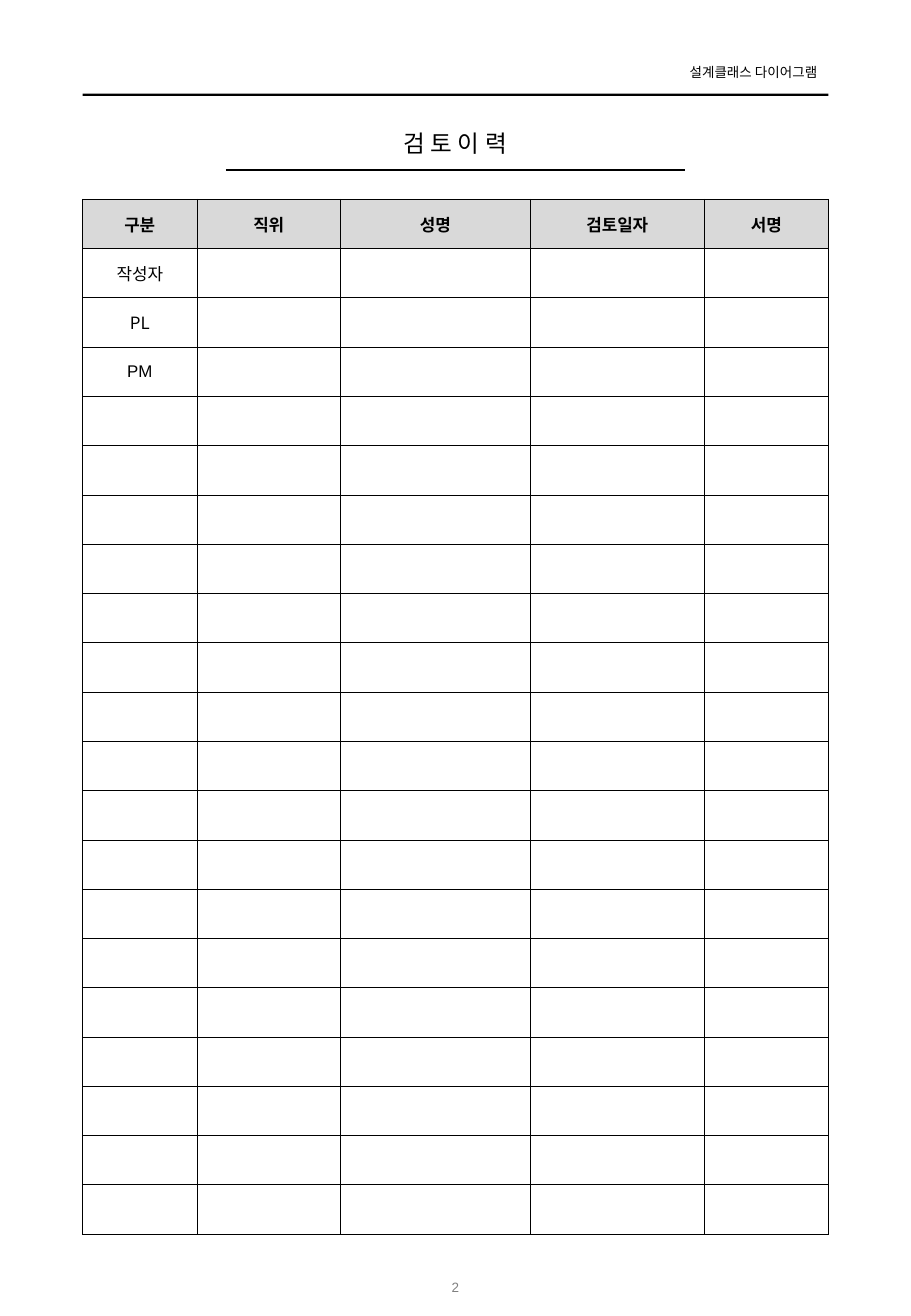
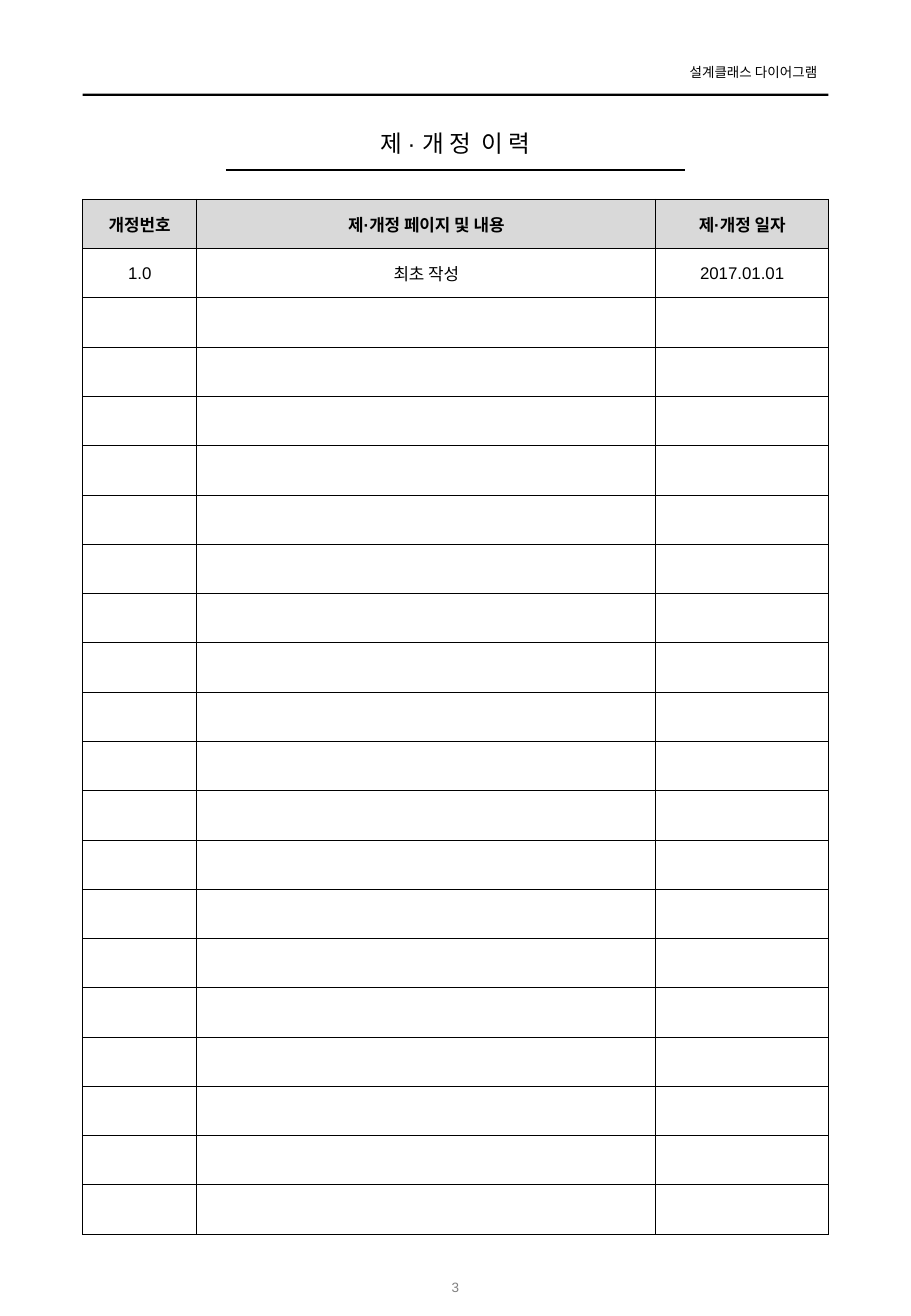
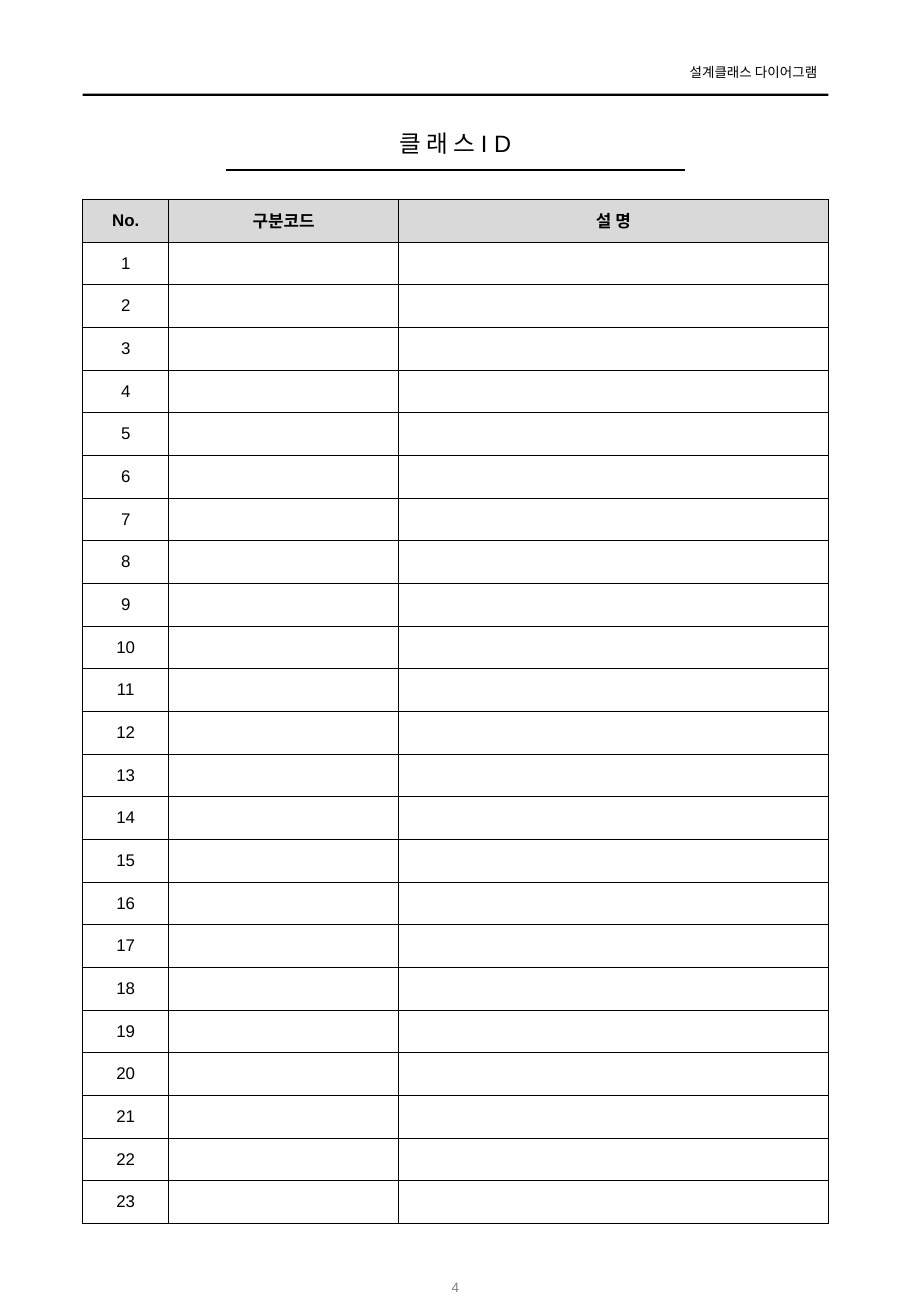
from lxml import etree
from pptx import Presentation
from pptx.dml.color import RGBColor
from pptx.enum.shapes import MSO_CONNECTOR, MSO_SHAPE
from pptx.enum.text import MSO_ANCHOR, PP_ALIGN
from pptx.oxml.ns import qn
from pptx.util import Inches, Pt

CENTER, RIGHT = PP_ALIGN.CENTER, PP_ALIGN.RIGHT
TOP, MIDDLE = MSO_ANCHOR.TOP, MSO_ANCHOR.MIDDLE
RECTANGLE, STRAIGHT = MSO_SHAPE.RECTANGLE, MSO_CONNECTOR.STRAIGHT

COLORS = {"ink": "000000", "header": "D9D9D9", "page": "808080"}
BODY_FONT, HANGUL_FONT = "Arial", "Noto Sans CJK KR"
PAGE_W, PAGE_H = 7.5, 10.83
MARGIN = 0.68
CONTENT_W = PAGE_W - 2 * MARGIN
TABLE_TOP = 1.64
RUNNING_HEAD = "설계클래스 다이어그램"

# Each page: title, column widths, table height, row count, header, filled rows
PAGES = [
    ("검 토 이 력", [0.94, 1.18, 1.56, 1.43, 1.02], 8.52, 21,
     ["구분", "직위", "성명", "검토일자", "서명"],
     [["작성자"], ["PL"], ["PM"]]),
    ("제 · 개 정  이 력", [0.94, 3.78, 1.42], 8.52, 21,
     ["개정번호", "제·개정 페이지 및 내용", "제·개정 일자"],
     [["1.0", "최초 작성", "2017.01.01"]]),
    ("클 래 스 I D", [0.71, 1.89, 3.54], 8.43, 24,
     ["No.", "구분코드", "설 명"],
     [[str(number)] for number in range(1, 24)]),
]


def write(frame, text, size, color="ink", align=CENTER, bold=False, font=BODY_FONT):
    """Put one aligned, styled run in the first paragraph of a text frame."""
    paragraph = frame.paragraphs[0]
    paragraph.alignment = align
    run = paragraph.add_run()
    run.text = text
    run.font.size, run.font.bold, run.font.name = Pt(size), bold, font
    run.font.color.rgb = RGBColor.from_string(COLORS[color])


def add_label(slide, box, insets, anchor, wrap=True):
    """Add a text box with the given insets and return its text frame."""
    frame = slide.shapes.add_textbox(*map(Inches, box)).text_frame
    frame.word_wrap, frame.vertical_anchor = wrap, anchor
    (frame.margin_left, frame.margin_top,
     frame.margin_right, frame.margin_bottom) = map(Inches, insets)
    return frame


deck = Presentation()
deck.slide_width, deck.slide_height = Inches(PAGE_W), Inches(PAGE_H)
blank = deck.slide_layouts[6]
ink = RGBColor.from_string(COLORS["ink"])

for page_number, (title, widths, height, row_count, header, entries) in enumerate(PAGES, 2):
    slide = deck.slides.add_slide(blank)

    # Running head and rules
    band = slide.shapes.add_shape(
        RECTANGLE, *map(Inches, (MARGIN, 0.77, CONTENT_W, 0.02)))
    band.shadow.inherit = False
    band.fill.solid()
    band.fill.fore_color.rgb = ink
    band.line.fill.background()
    running_head = add_label(slide, (5.47, 0.48, 1.34, 0.24),
                             (0.1, 0.05, 0.08, 0.05), TOP, wrap=False)
    write(running_head, RUNNING_HEAD, 8, align=RIGHT)
    title_rule = slide.shapes.add_connector(
        STRAIGHT, *map(Inches, (1.86, 1.4, PAGE_W - 1.86, 1.4)))
    title_rule.line.color.rgb = ink
    title_rule.line.width = Pt(1)
    etree.SubElement(title_rule._element.spPr, qn("a:effectLst"))

    # Title and page number
    write(add_label(slide, (MARGIN, 1.01, CONTENT_W, 0.34), (0, 0.05, 0, 0.05), TOP),
          title, 14)
    write(add_label(slide, (3.28, 10.39, 0.94, 0.4), (0.1, 0.05, 0.1, 0.05), MIDDLE),
          str(page_number), 8, "page")

    # Form table
    form = slide.shapes.add_table(
        row_count, len(widths),
        *map(Inches, (MARGIN, TABLE_TOP, CONTENT_W, height))).table
    form.first_row = form.horz_banding = False
    for column, width in zip(form.columns, widths):
        column.width = Inches(CONTENT_W * width / sum(widths))
    lines = [header] + entries
    for row_index, row in enumerate(form.rows):
        row.height = Inches(height / row_count)
        texts = lines[row_index] if row_index < len(lines) else []
        is_header = row_index == 0
        for column_index, cell in enumerate(row.cells):
            properties = cell._tc.get_or_add_tcPr()
            for side in "LRTB":
                border = etree.SubElement(properties, qn("a:ln" + side), w=str(Pt(0.5)))
                paint = etree.SubElement(border, qn("a:solidFill"))
                etree.SubElement(paint, qn("a:srgbClr"), val=COLORS["ink"])
            cell.vertical_anchor = MIDDLE
            if is_header:
                cell.fill.solid()
                cell.fill.fore_color.rgb = RGBColor.from_string(COLORS["header"])
            else:
                cell.fill.background()
            if column_index < len(texts):
                text = texts[column_index]
                write(cell.text_frame, text, 10, bold=is_header,
                      font=HANGUL_FONT if text == "PL" else BODY_FONT)
            else:
                # Keeps an empty cell from growing to the default 18 pt
                etree.SubElement(cell.text_frame.paragraphs[0]._p,
                                 qn("a:endParaRPr"), sz="1000")

deck.save("out.pptx")
